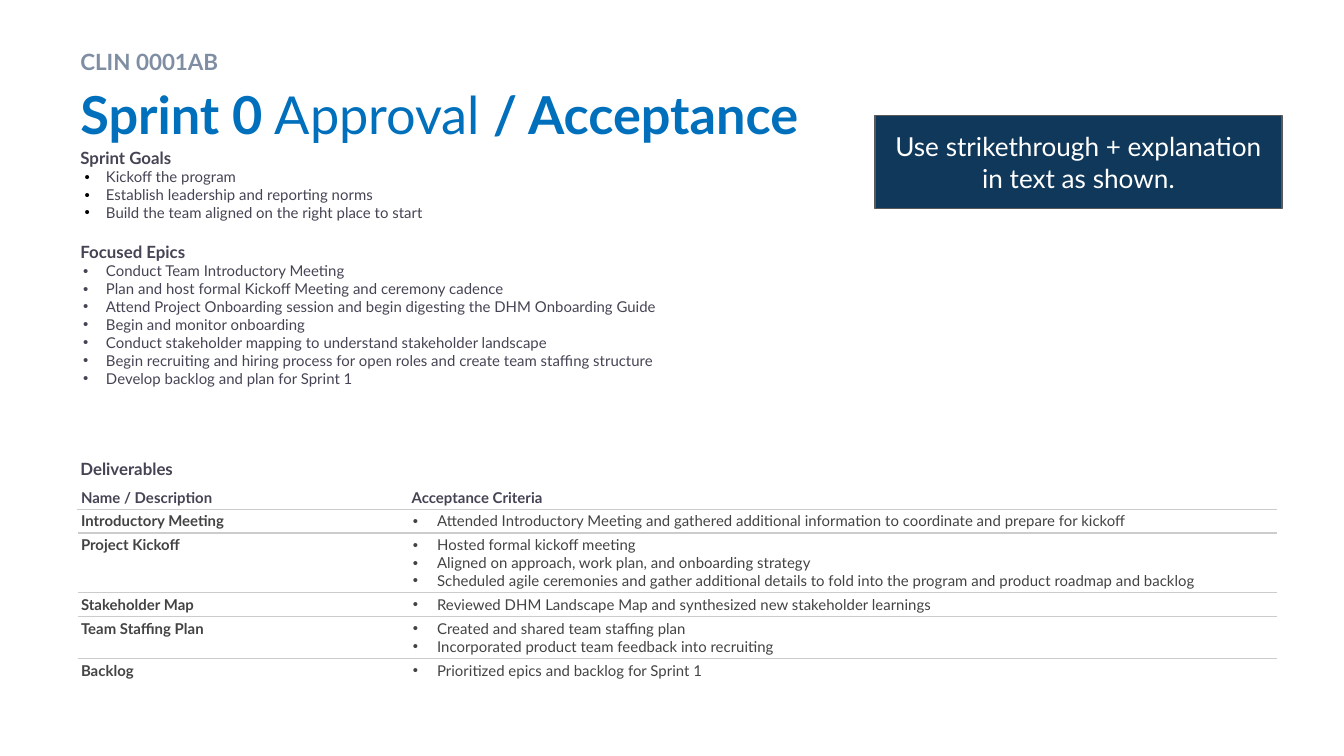
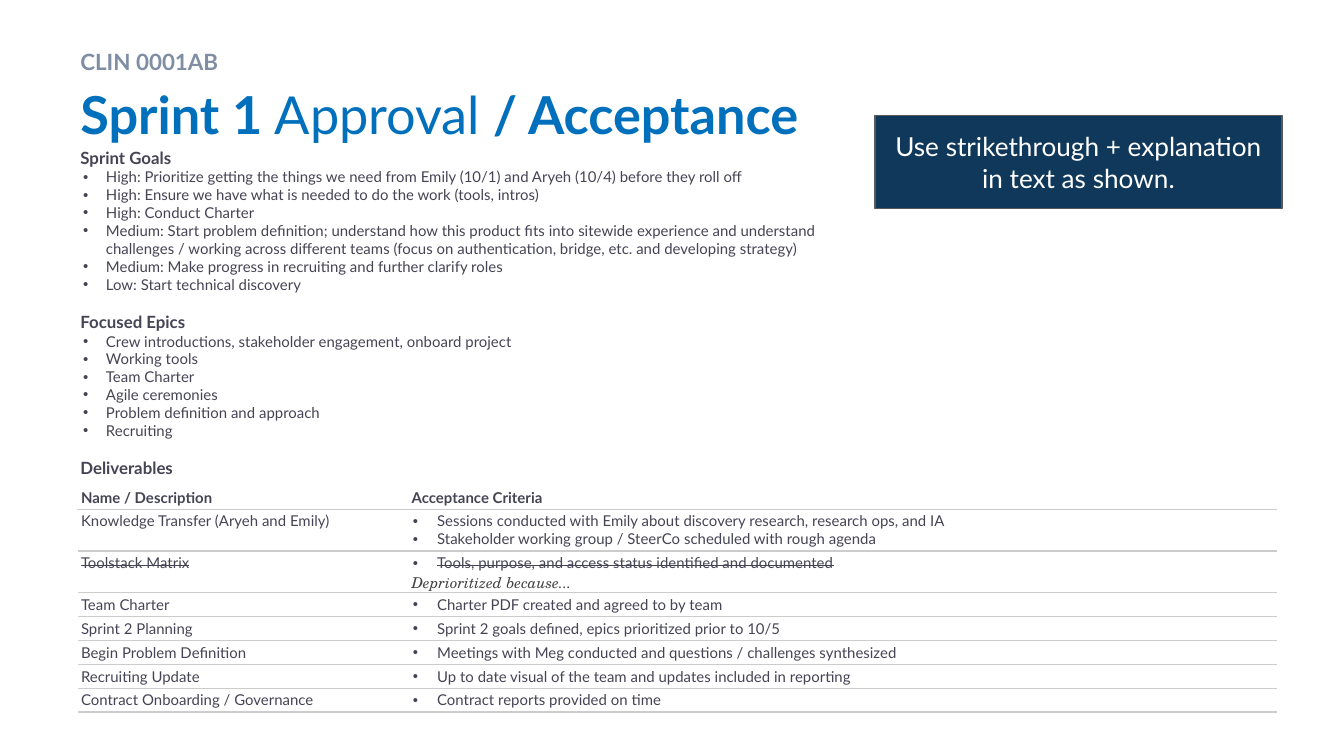
from dataclasses import dataclass

from lxml import etree
from pptx import Presentation
from pptx.dml.color import RGBColor
from pptx.enum.shapes import MSO_SHAPE
from pptx.enum.text import MSO_ANCHOR, MSO_AUTO_SIZE, PP_ALIGN
from pptx.oxml.ns import qn
from pptx.util import Pt

RECTANGLE = MSO_SHAPE.RECTANGLE
TOP, MIDDLE, BOTTOM = MSO_ANCHOR.TOP, MSO_ANCHOR.MIDDLE, MSO_ANCHOR.BOTTOM
CENTER = PP_ALIGN.CENTER
GROW = MSO_AUTO_SIZE.SHAPE_TO_FIT_TEXT

COLORS = {
    "kicker": "7F8EA3", "title": "0070BC", "ink": "454454", "gray": "434343",
    "navy": "10385A", "outline": "595959", "rule": "CCCCCC",
    "white": "FFFFFF", "black": "000000",
}
FONT, QUOTE_FONT = "Lato", "TeX Gyre Schola"
LEFT = 36
BULLET_INDENT = 13.7
HEADING_SIZE, TEXT_SIZE = 9, 8
LINE_HEIGHT, CELL_MARGIN = 9.6, 1.6
COLUMN_WIDTHS = (177.1, 465.1)


@dataclass
class Section:
    heading: str
    items: tuple = ()
    space_before: float = 0
    bullet_color: str = "ink"
    hang: float = 12.2


@dataclass
class Deliverable:
    name: str
    criteria: tuple
    struck: bool = False
    reason: str = ""


def rgb(name):
    return RGBColor.from_string(COLORS[name])


def add_span(para, text, size=TEXT_SIZE, color="ink", bold=False,
             italic=False, struck=False, font=FONT):
    span = para.add_run()
    span.text = text
    span.font.name = font
    span.font.size = Pt(size)
    span.font.bold = bold
    span.font.italic = italic
    span.font.color.rgb = rgb(color)
    if struck:
        span.font._element.set("strike", "sngStrike")


def add_bullet(para, color, hang):
    properties = para._p.get_or_add_pPr()
    properties.set("marL", str(Pt(BULLET_INDENT)))
    properties.set("indent", str(-Pt(hang)))
    bullet_color = etree.SubElement(properties, qn("a:buClr"))
    etree.SubElement(bullet_color, qn("a:srgbClr"), val=COLORS[color])
    etree.SubElement(properties, qn("a:buFont"), typeface="Arial")
    etree.SubElement(properties, qn("a:buChar"), char="•")


def add_para(frame, text="", bullet=None, hang=13, space_before=0,
             line_spacing=None, align=None, **span_format):
    """Fill the empty first paragraph of the frame, or append a new one."""
    first = frame.paragraphs[0]
    para = frame.add_paragraph() if first.runs else first
    if line_spacing:
        para.line_spacing = line_spacing
    if space_before:
        para.space_before = Pt(space_before)
    if align:
        para.alignment = align
    if bullet:
        add_bullet(para, bullet, hang)
    if text:
        add_span(para, text, **span_format)
    return para


def set_frame(frame, inset, anchor=TOP):
    frame.word_wrap = True
    frame.vertical_anchor = anchor
    frame.margin_left = frame.margin_right = Pt(7.2)
    frame.margin_top = frame.margin_bottom = Pt(inset)


def add_text_box(page, top, width, height, inset=3.6):
    box = page.shapes.add_textbox(Pt(LEFT), Pt(top), Pt(width), Pt(height))
    set_frame(box.text_frame, inset)
    return box.text_frame


def add_kicker(page, text):
    frame = add_text_box(page, 19.4, 648, 20.9)
    add_para(frame, text, line_spacing=1.2, size=12, color="kicker", bold=True)


def add_title(page, sprint):
    para = add_para(add_text_box(page, 40.3, 648, 49.7))
    for text, bold in ((f"{sprint} ", True), ("Approval", False), (" / Acceptance", True)):
        add_span(para, text, size=28, color="title", bold=bold)


def add_sections(page, sections):
    frame = add_text_box(page, 72, 432.7, 193.3, inset=7.2)
    frame.auto_size = GROW
    for section in sections:
        add_para(frame, section.heading, space_before=section.space_before,
                 size=HEADING_SIZE, bold=True)
        for item in section.items:
            add_para(frame, item, bullet=section.bullet_color, hang=section.hang)


def add_callout(page, text):
    box = page.shapes.add_shape(RECTANGLE, Pt(468.7), Pt(61.9), Pt(218.2), Pt(49.7))
    box.shadow.inherit = False
    box.fill.solid()
    box.fill.fore_color.rgb = rgb("navy")
    box.line.color.rgb = rgb("outline")
    box.line.width = Pt(0.75)
    set_frame(box.text_frame, 7.2, MIDDLE)
    add_para(box.text_frame, text, align=CENTER, size=14, color="white")


def set_borders(cell, **colors):
    """Draw the named sides (L, R, T, B) and clear the others."""
    properties = cell._tc.get_or_add_tcPr()
    for side in "LRTB":
        line = etree.SubElement(properties, qn(f"a:ln{side}"), w=str(Pt(0.75)))
        if side in colors:
            fill = etree.SubElement(line, qn("a:solidFill"))
            etree.SubElement(fill, qn("a:srgbClr"), val=COLORS[colors[side]])
        else:
            etree.SubElement(line, qn("a:noFill"))


def format_cell(cell, anchor=TOP, **borders):
    cell.margin_left = cell.margin_right = Pt(CELL_MARGIN)
    cell.margin_top = cell.margin_bottom = Pt(CELL_MARGIN)
    cell.vertical_anchor = anchor
    set_borders(cell, **borders)
    cell.fill.background()


def add_deliverables(page, deliverables, color="ink", bold_names=False, closed=True):
    """Add the table; closed draws a rule below its last row."""
    line_counts = [1] + [len(d.criteria) + bool(d.reason) for d in deliverables]
    heights = [count * LINE_HEIGHT + 2 * CELL_MARGIN for count in line_counts]
    heights[0] = 12.3
    table = page.shapes.add_table(len(heights), 2, Pt(41.8), Pt(260),
                                  Pt(sum(COLUMN_WIDTHS)), Pt(sum(heights))).table
    table.first_row = table.horz_banding = False
    for column, width in zip(table.columns, COLUMN_WIDTHS):
        column.width = Pt(width)
    for row, height in zip(table.rows, heights):
        row.height = Pt(height)

    for cell, label in zip(table.rows[0].cells, ("Name / Description", "Acceptance Criteria")):
        format_cell(cell, BOTTOM, L="white", R="white", T="white", B="rule")
        add_para(cell.text_frame, label, bold=True)

    for index, deliverable in enumerate(deliverables, start=1):
        name_cell, criteria_cell = table.rows[index].cells
        borders = {"T": "rule"}
        if closed or index < len(deliverables):
            borders["B"] = "rule"
        format_cell(name_cell, **borders)
        format_cell(criteria_cell, **borders)
        add_para(name_cell.text_frame, deliverable.name, color=color,
                 bold=bold_names, struck=deliverable.struck)
        for criterion in deliverable.criteria:
            add_para(criteria_cell.text_frame, criterion, bullet=color,
                     color=color, struck=deliverable.struck)
        if deliverable.reason:
            add_para(criteria_cell.text_frame, deliverable.reason,
                     color="gray", italic=True, font=QUOTE_FONT)


def add_sprint_page(deck, sprint, sections, deliverables, **table_format):
    page = deck.slides.add_slide(deck.slide_layouts[6])
    add_kicker(page, "CLIN 0001AB")
    add_sections(page, sections)
    add_deliverables(page, deliverables, **table_format)
    add_title(page, sprint)
    add_callout(page, "Use strikethrough + explanation in text as shown.")


def main():
    deck = Presentation()
    deck.slide_width, deck.slide_height = Pt(720), Pt(405)

    add_sprint_page(deck, "Sprint 0", [
        Section("Sprint Goals", (
            "Kickoff the program",
            "Establish leadership and reporting norms",
            "Build the team aligned on the right place to start",
        ), bullet_color="black", hang=11.5),
        Section("Focused Epics", (
            "Conduct Team Introductory Meeting",
            "Plan and host formal Kickoff Meeting and ceremony cadence",
            "Attend Project Onboarding session and begin digesting the DHM Onboarding Guide",
            "Begin and monitor onboarding",
            "Conduct stakeholder mapping to understand stakeholder landscape",
            "Begin recruiting and hiring process for open roles and create team staffing structure",
            "Develop backlog and plan for Sprint 1",
        ), space_before=10.8),
        Section("Deliverables", space_before=4 * LINE_HEIGHT),
    ], [
        Deliverable("Introductory Meeting", (
            "Attended Introductory Meeting and gathered additional information "
            "to coordinate and prepare for kickoff",)),
        Deliverable("Project Kickoff", (
            "Hosted formal kickoff meeting",
            "Aligned on approach, work plan, and onboarding strategy",
            "Scheduled agile ceremonies and gather additional details to fold "
            "into the program and product roadmap and backlog")),
        Deliverable("Stakeholder Map", (
            "Reviewed DHM Landscape Map and synthesized new stakeholder learnings",)),
        Deliverable("Team Staffing Plan", (
            "Created and shared team staffing plan",
            "Incorporated product team feedback into recruiting")),
        Deliverable("Backlog", ("Prioritized epics and backlog for Sprint 1",)),
    ], color="gray", bold_names=True, closed=False)

    add_sprint_page(deck, "Sprint 1", [
        Section("Sprint Goals", (
            "High: Prioritize getting the things we need from Emily (10/1) and Aryeh (10/4) "
            "before they roll off",
            "High: Ensure we have what is needed to do the work (tools, intros)",
            "High: Conduct Charter",
            "Medium: Start problem definition; understand how this product fits into sitewide "
            "experience and understand challenges / working across different teams "
            "(focus on authentication, bridge, etc. and developing strategy)",
            "Medium: Make progress in recruiting and further clarify roles",
            "Low: Start technical discovery",
        )),
        Section("Focused Epics", (
            "Crew introductions, stakeholder engagement, onboard project",
            "Working tools",
            "Team Charter",
            "Agile ceremonies",
            "Problem definition and approach",
            "Recruiting",
        ), space_before=10),
        Section("Deliverables", space_before=LINE_HEIGHT),
    ], [
        Deliverable("Knowledge Transfer (Aryeh and Emily)", (
            "Sessions conducted with Emily about discovery research, research ops, and IA",
            "Stakeholder working group / SteerCo scheduled with rough agenda")),
        Deliverable("Toolstack Matrix", (
            "Tools, purpose, and access status identified and documented",),
            struck=True, reason="Deprioritized because..."),
        Deliverable("Team Charter", ("Charter PDF created and agreed to by team",)),
        Deliverable("Sprint 2 Planning", (
            "Sprint 2 goals defined, epics prioritized prior to 10/5",)),
        Deliverable("Begin Problem Definition", (
            "Meetings with Meg conducted and questions / challenges synthesized",)),
        Deliverable("Recruiting Update", (
            "Up to date visual of the team and updates included in reporting",)),
        Deliverable("Contract Onboarding / Governance", (
            "Contract reports provided on time",)),
    ])
    deck.save("out.pptx")


if __name__ == "__main__":
    main()
